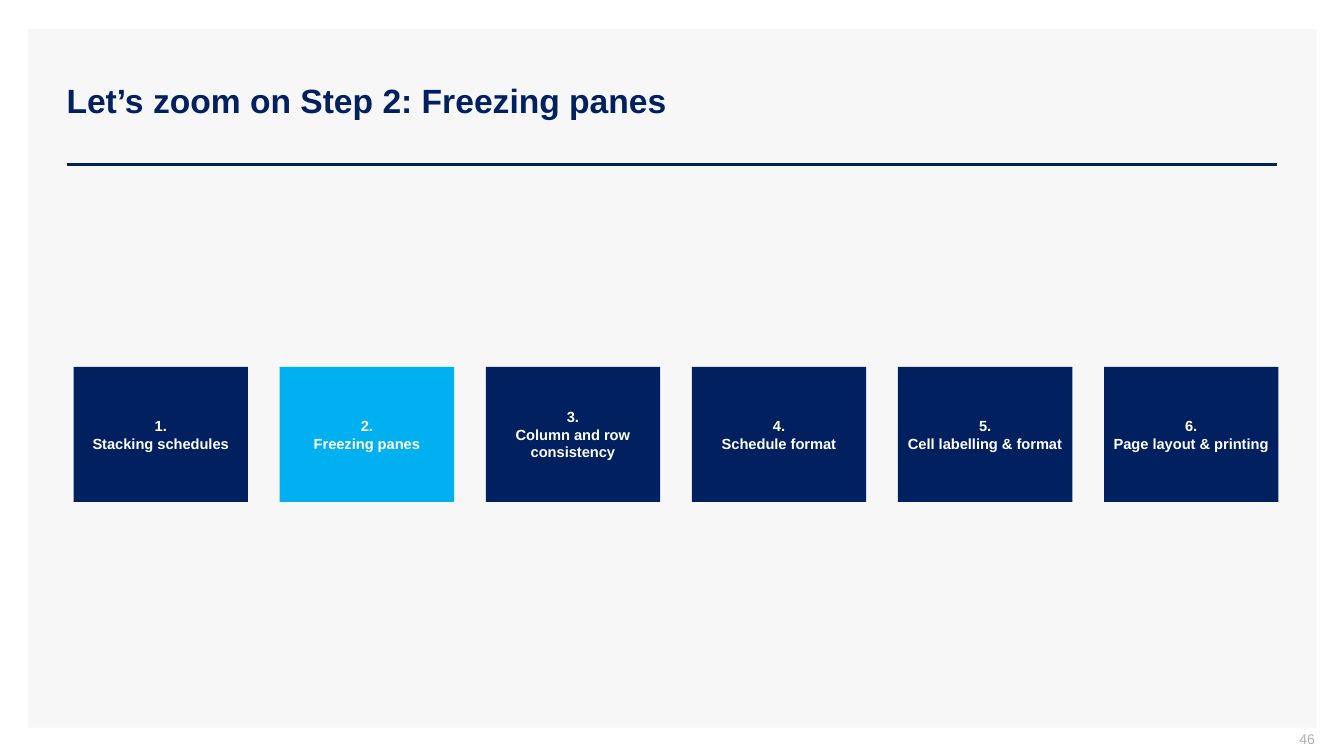
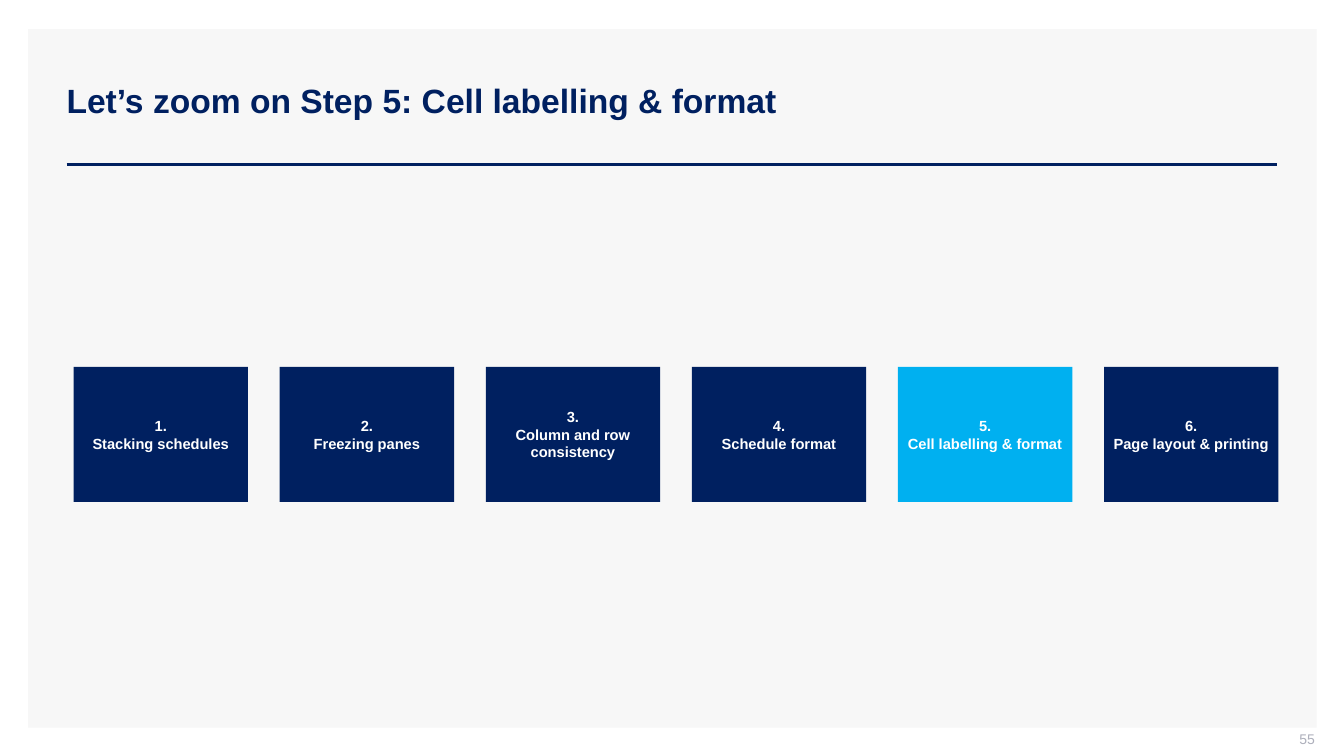
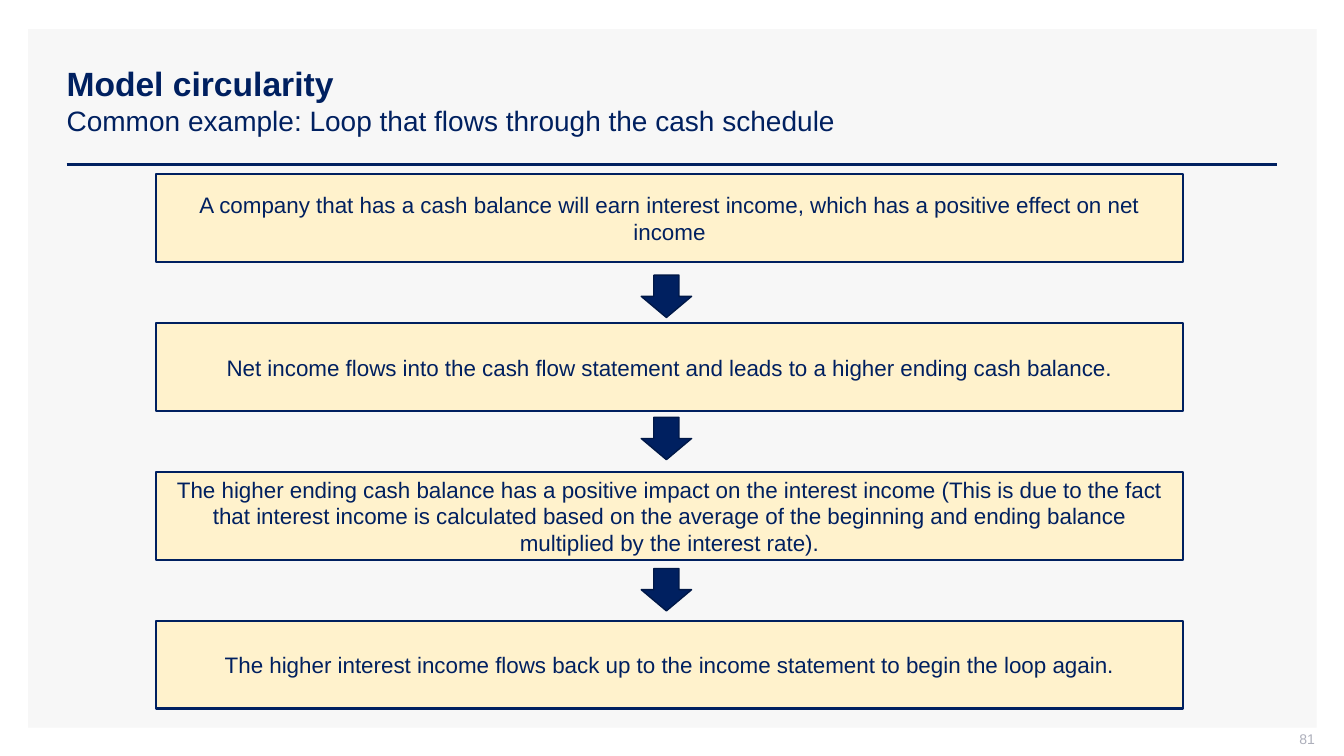
"""Build three training slides: two step overviews and one loop diagram."""
from dataclasses import dataclass

from lxml.etree import SubElement
from pptx import Presentation
from pptx.dml.color import RGBColor
from pptx.enum.shapes import MSO_CONNECTOR, MSO_SHAPE
from pptx.enum.text import MSO_ANCHOR, MSO_AUTO_SIZE, PP_ALIGN
from pptx.oxml.ns import qn
from pptx.shapes.autoshape import Shape
from pptx.slide import Slide
from pptx.text.text import TextFrame
from pptx.util import Inches, Pt

HUES = {
    "navy": "002060",
    "edge": "001847",
    "sky": "00B0F0",
    "cream": "FFF2CC",
    "panel": "F7F7F7",
    "grey": "ADAFBB",
    "white": "FFFFFF",
}
FONT = "Arial"
WIDE, HIGH = 13.33, 7.5
STEPS = (
    "Stacking schedules",
    "Freezing panes",
    "Column and row consistency",
    "Schedule format",
    "Cell labelling & format",
    "Page layout & printing",
)
LOOP = (
    "A company that has a cash balance will earn interest income, "
    "which has a positive effect on net income",
    "Net income flows into the cash flow statement and leads to a higher ending cash balance.",
    "The higher ending cash balance has a positive impact on the interest income "
    "(This is due to the fact that interest income is calculated based on the average "
    "of the beginning and ending balance multiplied by the interest rate).",
    "The higher interest income flows back up to the income statement to begin the loop again.",
)


@dataclass(frozen=True)
class Area:
    left: float
    top: float
    width: float
    height: float

    def emu(self) -> tuple[int, ...]:
        return tuple(Inches(n) for n in (self.left, self.top, self.width, self.height))

    def shift(self, right: float = 0, down: float = 0) -> "Area":
        return Area(self.left + right, self.top + down, self.width, self.height)


@dataclass(frozen=True)
class Style:
    size: float
    hue: str
    bold: bool = False
    align: PP_ALIGN = PP_ALIGN.CENTER


PANEL = Area(0.28, 0.29, 12.78, 6.93)
TITLE = Area(0.56, 0.4, 12.11, 1.19)
PAGE = Area(10.04, 7.25, 3, 0.21)
STEP = Area(0.73, 3.64, 1.73, 1.34)
STEP_GAP = (12.68 - STEP.left - STEP.width) / (len(STEPS) - 1)
CARD = Area(1.55, 1.73, 10.18, 0.87)
CARD_GAP = (6.16 - CARD.top) / (len(LOOP) - 1)
ARROW = Area(6.36, 0, 0.5, 0.42)
ARROW_TOPS = (2.73, 4.14, 5.64)

HEAD = Style(24, "navy", True, PP_ALIGN.LEFT)
SUB = Style(20, "navy", False, PP_ALIGN.LEFT)
FOOT = Style(10, "grey", False, PP_ALIGN.RIGHT)
LABEL = Style(10.5, "white", True)
BODY = Style(16, "navy")


def tint(name: str) -> RGBColor:
    return RGBColor.from_string(HUES[name])


def write(frame: TextFrame, text: str, *styles: Style) -> None:
    frame.text = text
    frame.word_wrap = True
    frame.vertical_anchor = MSO_ANCHOR.MIDDLE
    for row, para in enumerate(frame.paragraphs):
        style = styles[min(row, len(styles) - 1)]
        para.alignment = style.align
        for run in para.runs:
            run.font.name = FONT
            run.font.size = Pt(style.size)
            run.font.bold = style.bold
            run.font.color.rgb = tint(style.hue)


def inset(frame: TextFrame, left: float, top: float, right: float, base: float) -> None:
    frame.margin_left, frame.margin_top = Inches(left), Inches(top)
    frame.margin_right, frame.margin_bottom = Inches(right), Inches(base)


def block(slide: Slide, area: Area, fill: str, edge: str = "", weight: float = 0,
          kind: MSO_SHAPE = MSO_SHAPE.RECTANGLE) -> Shape:
    shape = slide.shapes.add_shape(kind, *area.emu())
    shape.shadow.inherit = False
    shape.fill.solid()
    shape.fill.fore_color.rgb = tint(fill)
    if edge:
        shape.line.color.rgb = tint(edge)
        shape.line.width = Pt(weight)
    else:
        shape.line.fill.background()
    return shape


def start(deck: Presentation, text: str, page: int) -> Slide:
    slide = deck.slides.add_slide(deck.slide_layouts[5])
    title = slide.shapes.title
    title.left, title.top, title.width, title.height = TITLE.emu()
    write(title.text_frame, text, HEAD, SUB)
    title.text_frame.auto_size = MSO_AUTO_SIZE.NONE

    panel = block(slide, PANEL, "panel")
    rule = slide.shapes.add_connector(
        MSO_CONNECTOR.STRAIGHT, Inches(0.66), Inches(1.63), Inches(12.67), Inches(1.63))
    rule.line.color.rgb = tint("navy")
    rule.line.width = Pt(2)
    SubElement(rule.element.spPr, qn("a:effectLst"))
    for back in (panel, rule):
        title.element.addprevious(back.element)

    foot = slide.shapes.add_textbox(*PAGE.emu()).text_frame
    write(foot, str(page), FOOT)
    inset(foot, 0.1, 0, 0, 0.05)
    return slide


def zoom(deck: Presentation, focus: int, page: int) -> None:
    slide = start(deck, f"Let’s zoom on Step {focus}: {STEPS[focus - 1]}", page)
    for number, name in enumerate(STEPS, 1):
        area = STEP.shift(right=(number - 1) * STEP_GAP)
        frame = block(slide, area, "sky" if number == focus else "navy").text_frame
        write(frame, f"{number}.\n{name}", LABEL)
        inset(frame, 0.02, 0.02, 0.02, 0.02)


def cycle(deck: Presentation, page: int) -> None:
    slide = start(
        deck,
        "Model circularity\nCommon example: Loop that flows through the cash schedule",
        page)
    for row, text in enumerate(LOOP):
        card = block(slide, CARD.shift(down=row * CARD_GAP), "cream", "navy", 1.5)
        write(card.text_frame, text, BODY)
    for top in ARROW_TOPS:
        block(slide, ARROW.shift(down=top), "navy", "edge", 1, MSO_SHAPE.DOWN_ARROW)


def main() -> None:
    deck = Presentation()
    deck.slide_width, deck.slide_height = Inches(WIDE), Inches(HIGH)
    zoom(deck, 2, 46)
    zoom(deck, 5, 55)
    cycle(deck, 81)
    deck.save("out.pptx")


if __name__ == "__main__":
    main()
